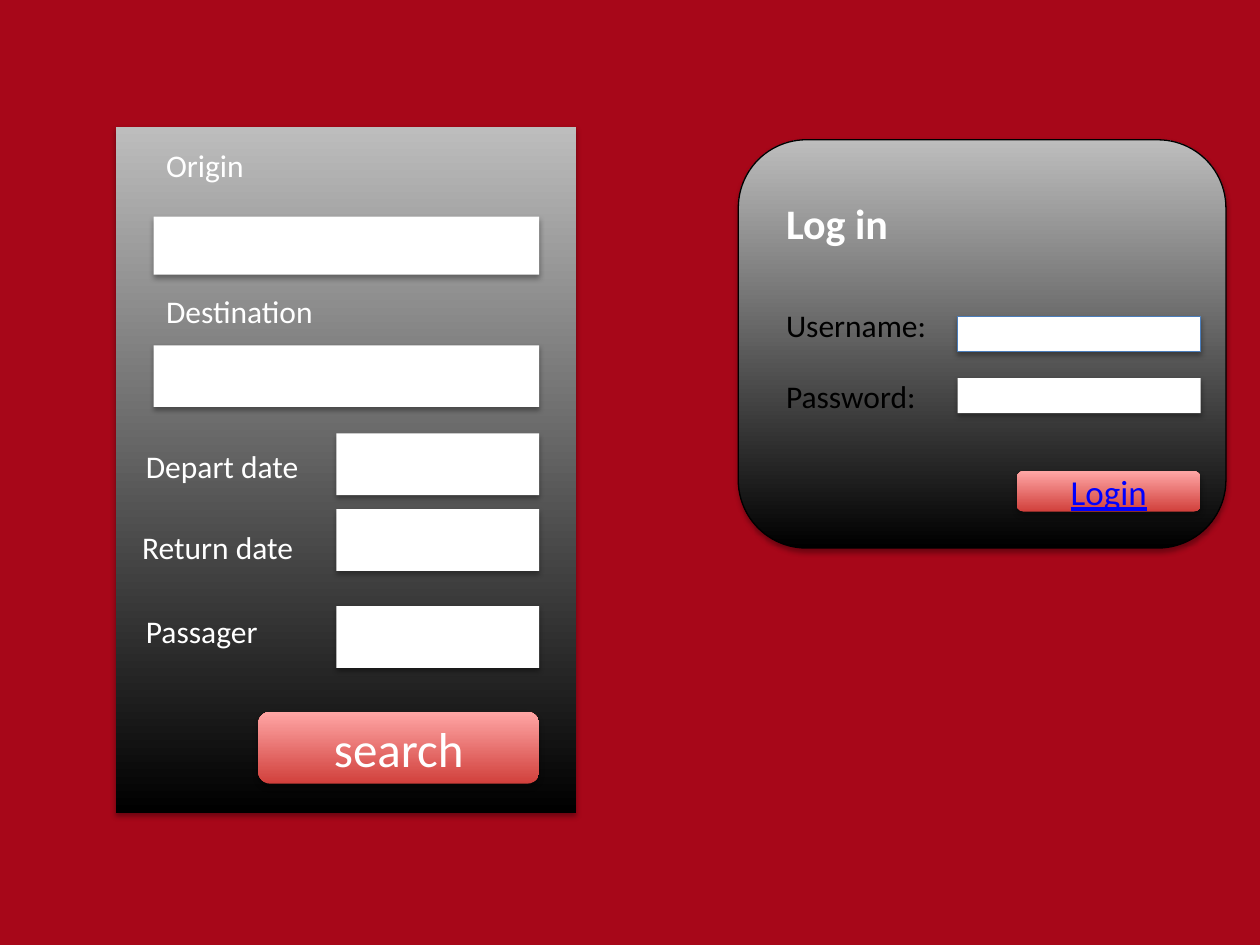
from lxml import etree
from pptx import Presentation
from pptx.dml.color import RGBColor
from pptx.enum import shapes, text
from pptx.oxml import ns
from pptx.util import Inches, Pt

RED = RGBColor(0xA7, 0x07, 0x19)
WHITE = RGBColor(0xFF, 0xFF, 0xFF)
BLACK = RGBColor(0, 0, 0)
GREY = RGBColor(0xBD, 0xBD, 0xBD)
ROSE = RGBColor(0xD1, 0x40, 0x3C)
PINK = RGBColor(0xFF, 0xA6, 0xA5)
BLUE = RGBColor(0x4B, 0x7E, 0xBC)
LINK = RGBColor(0, 0, 0xFF)
KIND = shapes.MSO_SHAPE

deck = Presentation()
deck.slide_width, deck.slide_height = Inches(10), Inches(7.5)
slide = deck.slides.add_slide(deck.slide_layouts[6])
slide.background.fill.solid()
slide.background.fill.fore_color.rgb = RED


def add_box(kind, place, tones, edge=None):
    box = slide.shapes.add_shape(kind, *[Inches(n) for n in place])
    if len(tones) == 1:
        box.fill.solid()
        box.fill.fore_color.rgb = tones[0]
    else:
        box.fill.gradient()
        box.fill.gradient_angle = 90
        for stop, tone in zip(box.fill.gradient_stops, tones):
            stop.color.rgb = tone
    if edge is None:
        box.line.fill.background()
    else:
        box.line.color.rgb = edge
        box.line.width = Pt(0.75)
    box.shadow.inherit = False
    glow = etree.SubElement(
        box.element.spPr.find(ns.qn("a:effectLst")), ns.qn("a:outerShdw"),
        blurRad=str(Pt(3.1)), dist=str(Pt(1.8)), dir="5400000", rotWithShape="0")
    shade = etree.SubElement(glow, ns.qn("a:srgbClr"), val="000000")
    etree.SubElement(shade, ns.qn("a:alpha"), val="35000")
    return box


def set_text(shape, words, size, tone):
    shape.text_frame.text = words
    font = shape.text_frame.paragraphs[0].runs[0].font
    font.name, font.size, font.color.rgb = "Calibri", Pt(size), tone
    return font


add_box(KIND.RECTANGLE, (0.92, 1.01, 3.65, 5.44), (BLACK, GREY))
add_box(KIND.ROUNDED_RECTANGLE, (5.86, 1.11, 3.87, 3.24), (BLACK, GREY), BLACK)

fields = [
    (1.22, 1.72, 3.06, 0.46, None),
    (1.22, 2.74, 3.06, 0.49, None),
    (2.67, 3.44, 1.61, 0.49, None),
    (2.67, 4.04, 1.61, 0.49, None),
    (2.67, 4.81, 1.61, 0.49, None),
    (7.6, 2.51, 1.93, 0.28, BLUE),
    (7.6, 3, 1.93, 0.28, None),
]
for *place, edge in fields:
    add_box(KIND.RECTANGLE, place, (WHITE,), edge)

labels = [
    ("Origin", 1.22, 1.11, 3.06, 18, WHITE),
    ("Destination", 1.22, 2.27, 3.06, 18, WHITE),
    ("Depart date", 1.06, 3.5, 1.5, 18, WHITE),
    ("Return date", 1.03, 4.14, 1.64, 18, WHITE),
    ("Passager", 1.06, 4.81, 1.36, 18, WHITE),
    ("Log in", 6.14, 1.52, 1.46, 24, WHITE),
    ("Username:", 6.14, 2.38, 1.46, 18, BLACK),
    ("Password:", 6.14, 2.94, 1.46, 18, BLACK),
]
for words, left, top, width, size, tone in labels:
    high = 0.5 if size == 24 else 0.4
    label = slide.shapes.add_textbox(
        Inches(left), Inches(top), Inches(width), Inches(high))
    label.text_frame.word_wrap = True
    label.text_frame.auto_size = text.MSO_AUTO_SIZE.SHAPE_TO_FIT_TEXT
    font = set_text(label, words, size, tone)
    if size == 24:
        font.bold = True

buttons = [
    ("search", (2.05, 5.65, 2.23, 0.57), 28, WHITE),
    ("Login", (8.07, 3.74, 1.46, 0.32), 20, LINK),
]
for words, place, size, tone in buttons:
    button = add_box(KIND.FLOWCHART_ALTERNATE_PROCESS, place, (ROSE, PINK))
    font = set_text(button, words, size, tone)
    font.underline = tone == LINK
    button.text_frame.vertical_anchor = text.MSO_ANCHOR.MIDDLE
    button.text_frame.paragraphs[0].alignment = text.PP_ALIGN.CENTER

deck.save("out.pptx")
